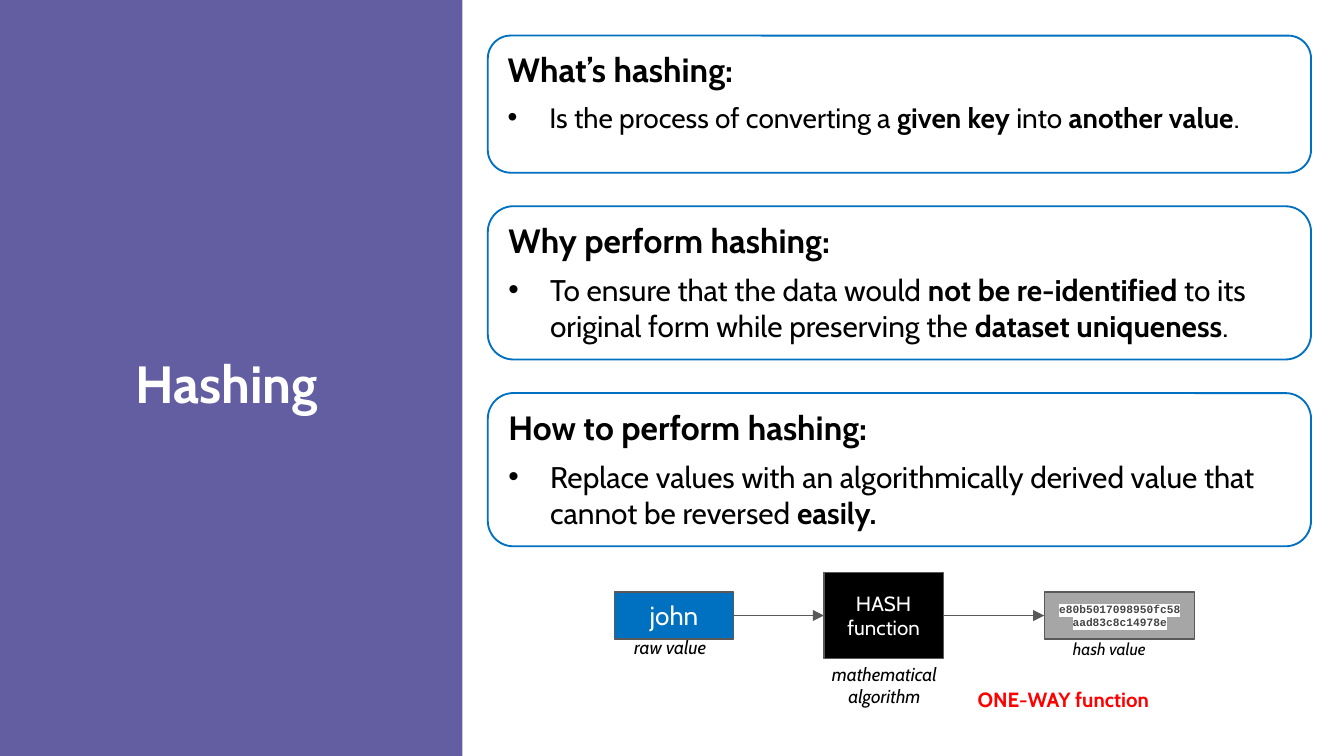
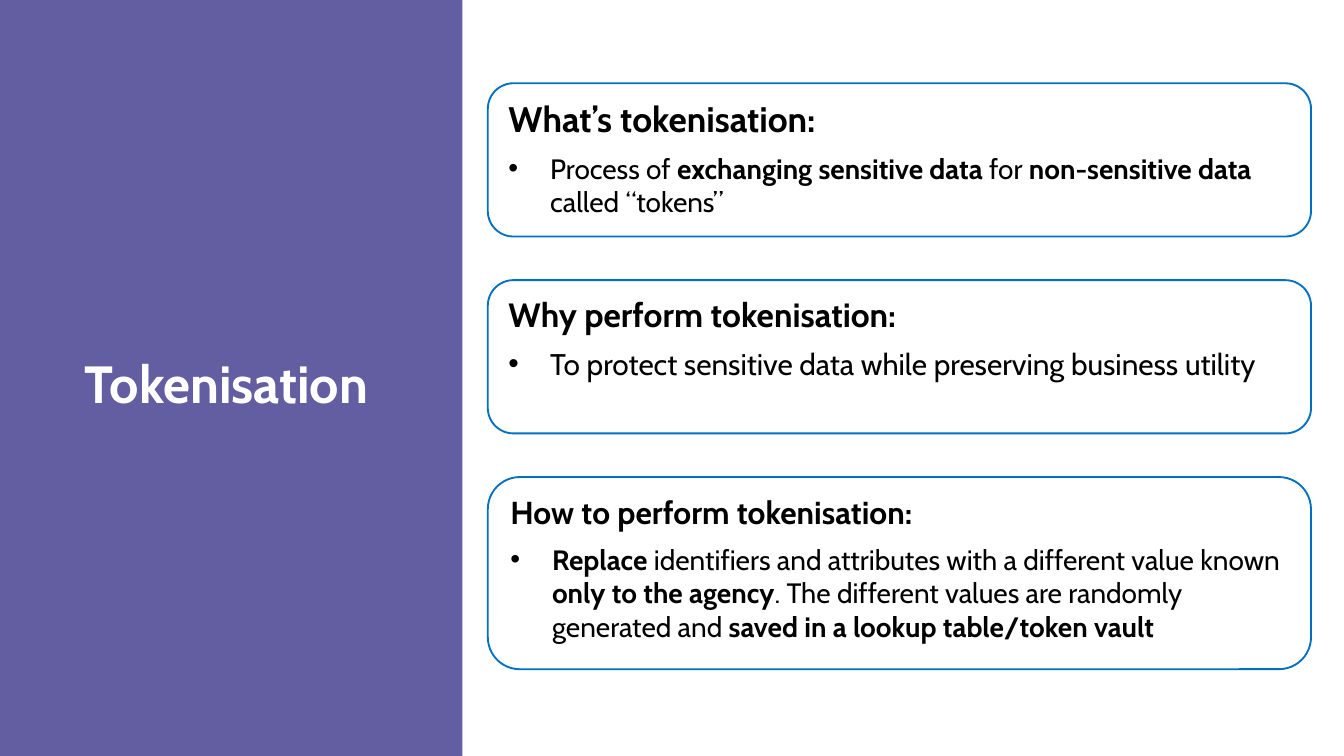
from dataclasses import dataclass

from lxml.etree import SubElement
from pptx import Presentation
from pptx.dml.color import RGBColor
from pptx.enum.shapes import MSO_CONNECTOR, MSO_SHAPE
from pptx.enum.text import MSO_ANCHOR, PP_ALIGN
from pptx.oxml.ns import qn
from pptx.util import Emu, Pt

EMU_PER_PX = 4572
SLIDE_WIDTH, SLIDE_HEIGHT = 2000, 1125
PANEL_BOX = (0, 0, 688, SLIDE_HEIGHT)
CARD_LEFT, CARD_WIDTH = 726, 1225
FLOW_ORIGIN = (914, 852)
BULLET_INDENT = 62


@dataclass(frozen=True)
class Theme:
    """Colours, fonts and type sizes shared by the slides."""
    panel: str = "635EA2"
    white: str = "FFFFFF"
    black: str = "000000"
    accent: str = "0070C0"
    edge: str = "595959"
    digest_fill: str = "A6A6A6"
    digest_text: str = "444444"
    warning: str = "FF0000"
    font: str = "Cabin"
    code_font: str = "Courier New"
    title_size: int = 28
    value_size: int = 14
    function_size: int = 11
    caption_size: int = 10
    small_caption_size: int = 9
    digest_size: int = 6


THEME = Theme()


@dataclass(frozen=True)
class Card:
    """A heading with one bullet; double asterisks enclose bold words."""
    height: int
    heading: str
    heading_size: int
    body: str
    body_size: int


def px(value):
    """Turn pixels into EMU."""
    return Emu(value * EMU_PER_PX)


def color(value):
    """Turn a hex string into a colour."""
    return RGBColor.from_string(value)


def style_font(font, size, text_color, bold=False, italic=False, name=THEME.font):
    """Set all properties of a font."""
    font.name, font.size = name, Pt(size)
    font.bold, font.italic = bold, italic
    font.color.rgb = color(text_color)


def set_margins(frame, horizontal, vertical):
    """Wrap the text and set its insets."""
    frame.word_wrap = True
    frame.margin_left = frame.margin_right = px(horizontal)
    frame.margin_top = frame.margin_bottom = px(vertical)


def add_box(slide, preset, box, fill, line=None, line_width=0.75):
    """Add a filled preset shape with an optional outline."""
    shape = slide.shapes.add_shape(preset, *map(px, box))
    shape.shadow.inherit = False
    shape.fill.solid()
    shape.fill.fore_color.rgb = color(fill)
    if line:
        shape.line.color.rgb = color(line)
        shape.line.width = Pt(line_width)
    else:
        shape.line.fill.background()
    return shape


def add_text(slide, box, text, size, text_color, align=PP_ALIGN.LEFT, bold=False, italic=False):
    """Add a one-paragraph text box and return its frame."""
    frame = slide.shapes.add_textbox(*map(px, box)).text_frame
    set_margins(frame, 20, 20)
    paragraph = frame.paragraphs[0]
    paragraph.text, paragraph.alignment = text, align
    style_font(paragraph.font, size, text_color, bold, italic)
    return frame


def add_title_panel(slide, box, title):
    """Add the coloured side panel with its centred title."""
    left, top, width, height = box
    add_box(slide, MSO_SHAPE.RECTANGLE, box, THEME.panel)
    frame = add_text(slide, (left + 62, top + 526, width - 138, 100), title,
                     THEME.title_size, THEME.white, PP_ALIGN.CENTER, bold=True)
    set_margins(frame, 20, 10)
    frame.vertical_anchor = MSO_ANCHOR.MIDDLE
    frame.paragraphs[0].line_spacing = 0.9


def add_bullet(paragraph):
    """Give a paragraph a hanging round bullet."""
    properties = paragraph._p.get_or_add_pPr()
    properties.set("marL", str(px(BULLET_INDENT)))
    properties.set("indent", str(-px(BULLET_INDENT)))
    bullet_color = SubElement(properties, qn("a:buClr"))
    SubElement(bullet_color, qn("a:srgbClr"), val=THEME.black)
    SubElement(properties, qn("a:buFont"), typeface="Arial")
    SubElement(properties, qn("a:buChar"), char="•")


def add_card(slide, box, card):
    """Add a rounded card holding a heading and a bullet."""
    shape = add_box(slide, MSO_SHAPE.ROUNDED_RECTANGLE, box, THEME.white, THEME.accent, 1)
    frame = shape.text_frame
    set_margins(frame, 20, 10)
    frame.vertical_anchor = MSO_ANCHOR.TOP
    heading, body = frame.paragraphs[0], frame.add_paragraph()
    heading.text = card.heading
    style_font(heading.font, card.heading_size, THEME.black, bold=True)
    body.space_before = Pt(6)
    add_bullet(body)
    style_font(body.font, card.body_size, THEME.black)
    for index, part in enumerate(card.body.split("**")):
        if part:
            run = body.add_run()
            run.text = part
            run.font.bold = index % 2 == 1
    for paragraph in frame.paragraphs:
        paragraph.alignment = PP_ALIGN.LEFT


def add_topic_slide(presentation, title, top, gap, cards):
    """Add a slide with a title panel and a stack of evenly spaced cards."""
    slide = presentation.slides.add_slide(presentation.slide_layouts[6])
    add_title_panel(slide, PANEL_BOX, title)
    for card in cards:
        add_card(slide, (CARD_LEFT, top, CARD_WIDTH, card.height), card)
        top += card.height + gap
    return slide


def add_arrow(slide, source, target):
    """Join the right side of one box to the left side of another."""
    connector = slide.shapes.add_connector(MSO_CONNECTOR.STRAIGHT, 0, 0, 0, 0)
    connector.begin_connect(source, 3)
    connector.end_connect(target, 1)
    connector.line.color.rgb = color(THEME.edge)
    connector.line.width = Pt(0.75)
    SubElement(connector.line._get_or_add_ln(), qn("a:tailEnd"), type="triangle")
    SubElement(connector._element.spPr, qn("a:effectLst"))


def add_hash_flow(slide, origin):
    """Add the flow from raw value through hash function to hash value."""
    left, top = origin
    steps = [
        ((0, 29, 178, 70), "john", THEME.accent, THEME.value_size, THEME.white, THEME.font),
        ((312, 0, 178, 128), "HASH function", THEME.black,
         THEME.function_size, THEME.white, THEME.font),
        ((640, 29, 224, 70), "e80b5017098950fc58aad83c8c14978e", THEME.digest_fill,
         THEME.digest_size, THEME.digest_text, THEME.code_font),
    ]
    boxes = []
    for (x, y, width, height), text, fill, size, text_color, font in steps:
        shape = add_box(slide, MSO_SHAPE.RECTANGLE, (left + x, top + y, width, height),
                        fill, THEME.edge)
        frame = shape.text_frame
        set_margins(frame, 20, 20)
        frame.vertical_anchor = MSO_ANCHOR.MIDDLE
        paragraph = frame.paragraphs[0]
        paragraph.text, paragraph.alignment = text, PP_ALIGN.CENTER
        is_digest = font == THEME.code_font
        style_font(paragraph.font, size, text_color, bold=is_digest, name=font)
        if is_digest:
            properties = paragraph.runs[0]._r.get_or_add_rPr()
            highlight = SubElement(properties, qn("a:highlight"))
            SubElement(highlight, qn("a:srgbClr"), val=THEME.white)
        boxes.append(shape)
    for source, target in zip(boxes, boxes[1:]):
        add_arrow(slide, source, target)

    captions = [
        ((10, 78, 178, 74), "raw value", THEME.caption_size, PP_ALIGN.LEFT),
        ((294, 114, 216, 108), "mathematical algorithm", THEME.caption_size, PP_ALIGN.CENTER),
        ((663, 84, 178, 70), "hash value", THEME.small_caption_size, PP_ALIGN.LEFT),
    ]
    for (x, y, width, height), text, size, align in captions:
        add_text(slide, (left + x, top + y, width, height), text, size,
                 THEME.black, align, italic=True)
    add_text(slide, (left + 521, top + 152, 300, 78), "ONE-WAY function",
             THEME.function_size, THEME.warning, bold=True)


def main():
    """Build and save the presentation."""
    presentation = Presentation()
    presentation.slide_width, presentation.slide_height = px(SLIDE_WIDTH), px(SLIDE_HEIGHT)
    hashing_slide = add_topic_slide(presentation, "Hashing", 53, 50, [
        Card(204, "What’s hashing:", 18,
             "Is the process of converting a **given key** into **another value**.", 15),
        Card(228, "Why perform hashing:", 18,
             "To ensure that the data would **not be re-identified** to its original form "
             "while preserving the **dataset uniqueness**.", 16),
        Card(228, "How to perform hashing:", 18,
             "Replace values with an algorithmically derived value that cannot be reversed "
             "**easily.**", 16),
    ])
    add_hash_flow(hashing_slide, FLOW_ORIGIN)
    add_topic_slide(presentation, "Tokenisation", 124, 65, [
        Card(228, "What’s tokenisation:", 19,
             "Process of **exchanging sensitive data** for **non-sensitive data** "
             "called “tokens”", 15),
        Card(228, "Why perform tokenisation:", 18,
             "To protect sensitive data while preserving business utility", 16),
        Card(286, "How to perform tokenisation:", 17,
             "**Replace** identifiers and attributes with a different value known "
             "**only to the agency**. The different values are randomly generated and "
             "**saved in a lookup table/token vault**", 15),
    ])
    presentation.save("out.pptx")


if __name__ == "__main__":
    main()
